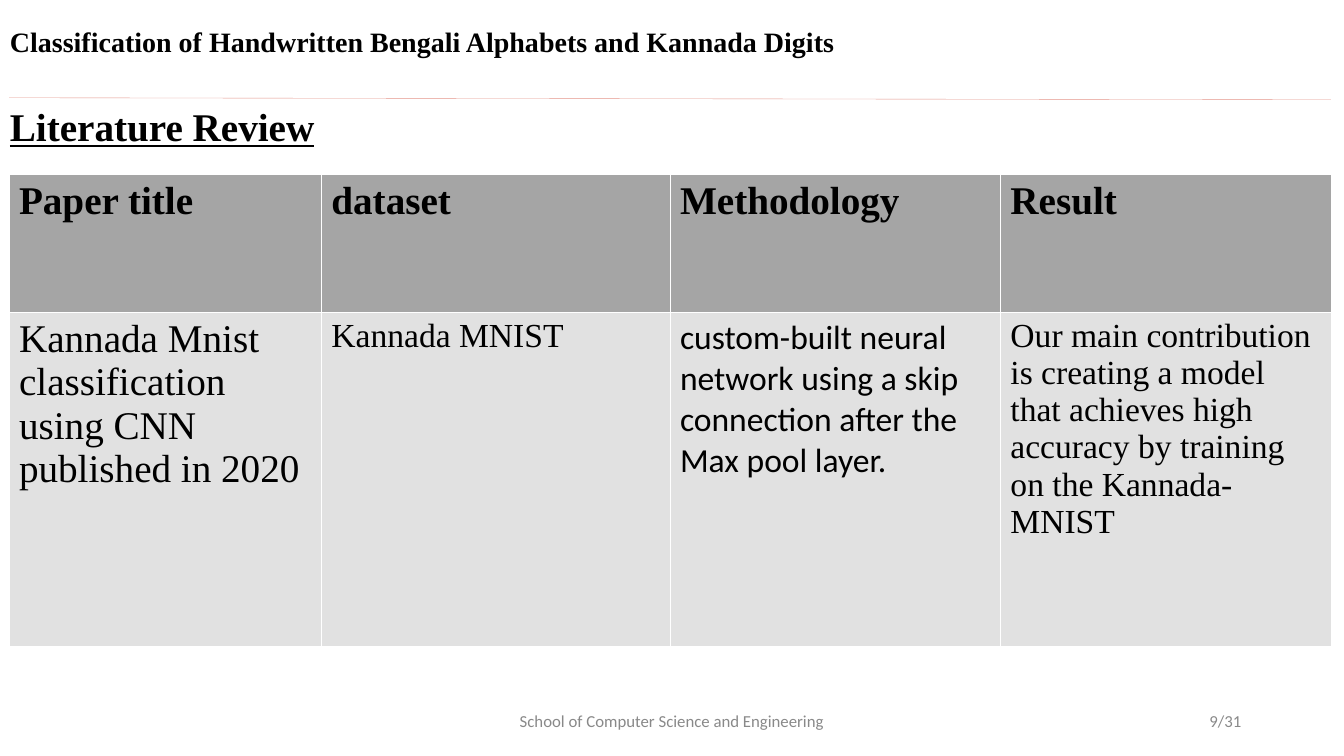
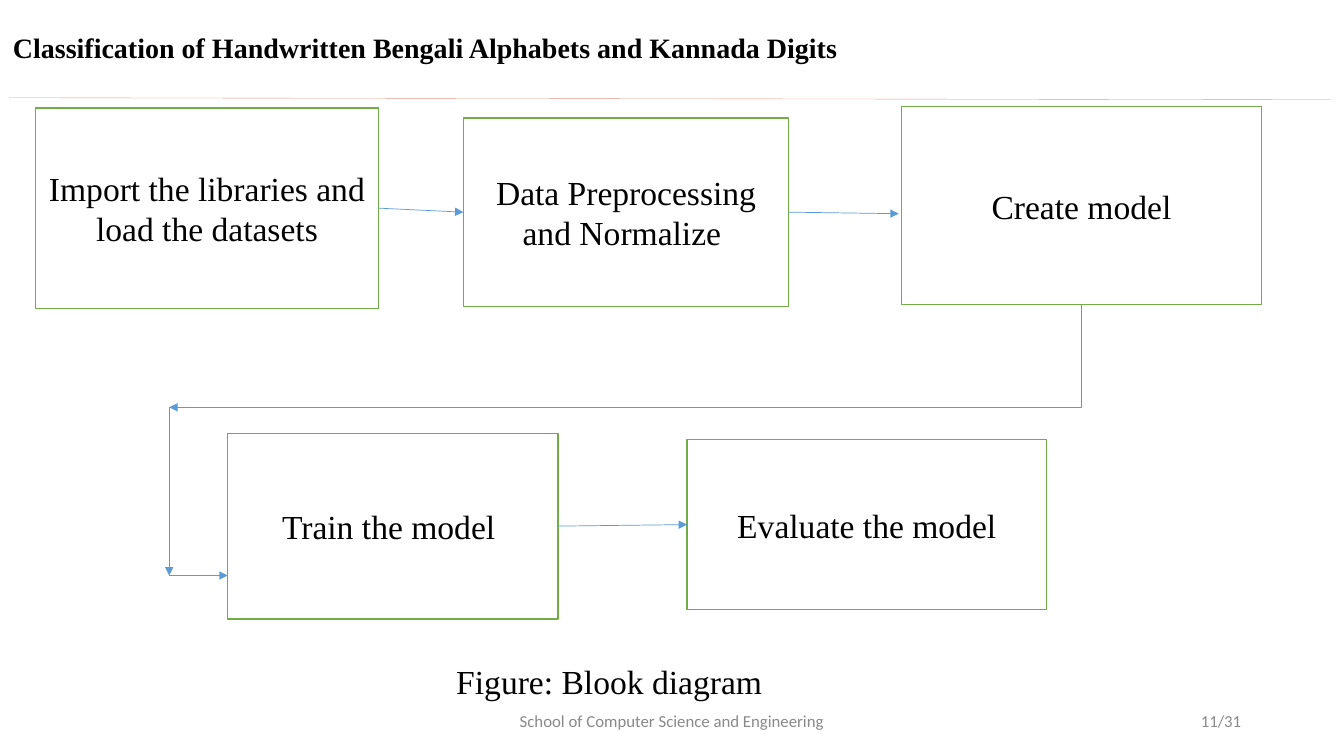
"""Build a literature review table and a block diagram of the model workflow."""
from dataclasses import dataclass
from typing import NamedTuple

from lxml import etree
from pptx import Presentation
from pptx.dml.color import RGBColor
from pptx.enum.shapes import MSO_CONNECTOR, MSO_SHAPE
from pptx.enum.text import MSO_ANCHOR, PP_ALIGN
from pptx.oxml.ns import qn
from pptx.util import Inches, Pt

STRAIGHT, ELBOW = MSO_CONNECTOR.STRAIGHT, MSO_CONNECTOR.ELBOW
RECT = MSO_SHAPE.RECTANGLE
LEFT, CENTER, RIGHT = PP_ALIGN.LEFT, PP_ALIGN.CENTER, PP_ALIGN.RIGHT
TOP, MIDDLE = MSO_ANCHOR.TOP, MSO_ANCHOR.MIDDLE
WIDTH, HEIGHT = Inches(13.34), Inches(7.5)


@dataclass(frozen=True)
class Theme:
    """Colours, fonts and type sizes of the deck."""
    ink: str = "000000"
    paper: str = "FFFFFF"
    muted: str = "898989"
    rule: str = "E4948A"
    edge: str = "70AD47"
    arrow: str = "5B9BD5"
    head: str = "A5A5A5"
    row: str = "E1E1E1"
    serif: str = "Times New Roman"
    sans: str = "Calibri"
    small: int = 12
    title: int = 20
    body: int = 24
    large: int = 28


THEME = Theme()


class Area(NamedTuple):
    """A rectangle in percent of the slide's width and height."""
    left: float
    top: float
    width: float
    height: float


class Spot(NamedTuple):
    """A point in percent of the slide's width and height."""
    left: float
    top: float


class Style(NamedTuple):
    """The look of a piece of text."""
    size: int = THEME.body
    font: str = THEME.serif
    color: str = THEME.ink
    bold: bool = False
    under: bool = False
    align: PP_ALIGN = LEFT
    anchor: MSO_ANCHOR = TOP
    space: float = 1.0


class Block(NamedTuple):
    """A step of the diagram."""
    text: str
    area: Area


class Link(NamedTuple):
    """An arrow, with the steps it is joined to, if any."""
    start: Spot
    end: Spot
    tail: int | None = None
    head: int | None = None


class Entry(NamedTuple):
    """A table cell."""
    text: str
    style: Style


TITLE = Style(THEME.title, bold=True, anchor=MIDDLE, space=0.9)
FOOT = Style(THEME.small, THEME.sans, THEME.muted, align=CENTER, anchor=MIDDLE)
PAGE = FOOT._replace(align=RIGHT)
HEADING = Style(THEME.large, bold=True, under=True)
HEAD = Style(THEME.large, bold=True)
STEP = Style(align=CENTER, anchor=MIDDLE)

COLS, ROWS = (23.24, 25.94, 24.59, 24.59), (18.27, 44.13)
CELLS = (
    [Entry(name, HEAD) for name in ("Paper title", "dataset", "Methodology", "Result")],
    [
        Entry("Kannada Mnist classification using CNN published in 2020", Style(THEME.large)),
        Entry("Kannada MNIST", Style()),
        Entry("custom-built neural network using a skip connection after the Max pool layer.",
              Style(font=THEME.sans)),
        Entry("Our main contribution is creating a model that achieves high accuracy "
              "by training on the Kannada-MNIST", Style()),
    ],
)
BLOCKS = (
    Block("Import the libraries and load the datasets", Area(2.62, 14.27, 25.56, 26.53)),
    Block("Data Preprocessing and Normalize ", Area(34.48, 15.6, 24.21, 24.93)),
    Block("Create model", Area(67.09, 14.13, 26.76, 26.13)),
    Block("Train the model ", Area(16.94, 57.33, 24.59, 24.53)),
    Block("Evaluate the model", Area(51.12, 58.13, 26.76, 22.53)),
)
TURN, DROP, ENTRY = Spot(12.59, 53.87), Spot(12.59, 76.13), Spot(16.94, 76.13)
LINKS = (
    Link(Spot(28.18, 27.53), Spot(34.48, 28.07), 0, 1),
    Link(Spot(58.69, 28.07), Spot(66.87, 28.27), 1),
    Link(TURN, DROP),
    Link(DROP, ENTRY),
    Link(Spot(41.53, 69.6), Spot(51.12, 69.4), 3, 4),
)


def across(share: float) -> int:
    """Turn a percentage of the width into a length."""
    return round(WIDTH * share / 100)


def down(share: float) -> int:
    """Turn a percentage of the height into a length."""
    return round(HEIGHT * share / 100)


def place(area: Area) -> tuple[int, int, int, int]:
    """Turn an area into lengths."""
    return across(area.left), down(area.top), across(area.width), down(area.height)


def write(frame, text: str, style: Style) -> None:
    """Fill a text frame and format it."""
    frame.text = text
    frame.word_wrap = True
    frame.vertical_anchor = style.anchor
    para = frame.paragraphs[0]
    para.alignment, para.line_spacing = style.align, style.space
    font = para.runs[0].font
    font.name, font.size = style.font, Pt(style.size)
    font.bold, font.underline = style.bold, style.under
    font.color.rgb = RGBColor.from_string(style.color)


def label(slide, text: str, area: Area, style: Style) -> None:
    """Add a text box."""
    write(slide.shapes.add_textbox(*place(area)).text_frame, text, style)


def line(slide, start: Spot, end: Spot, color: str, width: float, kind=STRAIGHT):
    """Add a connector without a shadow."""
    item = slide.shapes.add_connector(
        kind, across(start.left), down(start.top), across(end.left), down(end.top))
    item.line.color.rgb = RGBColor.from_string(color)
    item.line.width = Pt(width)
    etree.SubElement(item._element.spPr, qn("a:effectLst"))
    return item


def arrow(slide, start: Spot, end: Spot, kind=STRAIGHT):
    """Add a connector that ends in a triangle."""
    item = line(slide, start, end, THEME.arrow, 0.5, kind)
    etree.SubElement(item.line._get_or_add_ln(), qn("a:tailEnd"), type="triangle")
    return item


def bend(slide, start: Spot, end: Spot) -> None:
    """Add an arrow that runs down and then left with one corner."""
    item = arrow(slide, start, end, ELBOW)
    mid, level = item.left + item.width // 2, item.top + item.height // 2
    item.width, item.height = item.height, item.width
    item.left, item.top = mid - item.width // 2, level - item.height // 2
    props = item._element.spPr
    frame = props.find(qn("a:xfrm"))
    frame.attrib.pop("flipH", None)
    frame.set("rot", "5400000")
    props.find(qn("a:prstGeom")).set("prst", "bentConnector2")


def step(slide, block: Block):
    """Add a diagram step."""
    box = slide.shapes.add_shape(RECT, *place(block.area))
    box.shadow.inherit = False
    box.fill.solid()
    box.fill.fore_color.rgb = RGBColor.from_string(THEME.paper)
    box.line.color.rgb = RGBColor.from_string(THEME.edge)
    box.line.width = Pt(1)
    write(box.text_frame, block.text, STEP)
    return box


def border(cell, sides: dict[str, float]) -> None:
    """Draw the sides of a cell."""
    props = cell._tc.get_or_add_tcPr()
    for side, width in sides.items():
        edge = etree.SubElement(props, qn(f"a:ln{side}"), w=str(Pt(width)))
        fill = etree.SubElement(edge, qn("a:solidFill"))
        etree.SubElement(fill, qn("a:srgbClr"), val=THEME.paper)


def grid(slide, left: float, top: float) -> None:
    """Add the table of reviewed papers."""
    area = Area(left, top, sum(COLS), sum(ROWS))
    table = slide.shapes.add_table(len(ROWS), len(COLS), *place(area)).table
    for col, share in zip(table.columns, COLS):
        col.width = across(share)
    for row, share in zip(table.rows, ROWS):
        row.height = down(share)
    looks = ((THEME.head, 0.45, 1.47), (THEME.row, 1.47, 0.45))
    for row, entries, (fill, upper, lower) in zip(table.rows, CELLS, looks):
        for cell, entry in zip(row.cells, entries):
            border(cell, {"L": 0.45, "R": 0.45, "T": upper, "B": lower})
            cell.fill.solid()
            cell.fill.fore_color.rgb = RGBColor.from_string(fill)
            write(cell.text_frame, entry.text, entry.style)


def base(deck, page: int, area: Area):
    """Add a slide with the shared title, rule and footer."""
    slide = deck.slides.add_slide(deck.slide_layouts[6])
    label(slide, "Classification of Handwritten Bengali Alphabets and Kannada Digits", area, TITLE)
    label(slide, "School of Computer Science and Engineering",
          Area(33.13, 92.67, 33.73, 5.33), FOOT)
    label(slide, f"{page}/31", Area(70.61, 92.67, 22.49, 5.33), PAGE)
    line(slide, Spot(0.67, 12.93), Spot(99.03, 13.2), THEME.rule, 0.25)
    return slide


def review(deck) -> None:
    """Build the literature review slide."""
    slide = base(deck, 9, Area(0, 4.13, 89.28, 3.2))
    label(slide, "Literature Review", Area(0, 12.93, 26.91, 7.6), HEADING)
    grid(slide, 0.67, 23.07)


def flow(deck) -> None:
    """Build the block diagram slide."""
    slide = base(deck, 11, Area(0.22, 1.07, 88.23, 10.93))
    boxes = [step(slide, block) for block in BLOCKS]
    for link in LINKS:
        item = arrow(slide, link.start, link.end)
        if link.tail is not None:
            item.begin_connect(boxes[link.tail], 3)
        if link.head is not None:
            item.end_connect(boxes[link.head], 1)
    model = BLOCKS[2].area
    bend(slide, Spot(model.left + model.width / 2, model.top + model.height), TURN)
    label(slide, "Figure: Blook diagram", Area(33.21, 86.8, 26, 6.67), Style())


def main() -> None:
    """Build and save the deck."""
    deck = Presentation()
    deck.slide_width, deck.slide_height = WIDTH, HEIGHT
    review(deck)
    flow(deck)
    deck.save("out.pptx")


if __name__ == "__main__":
    main()
